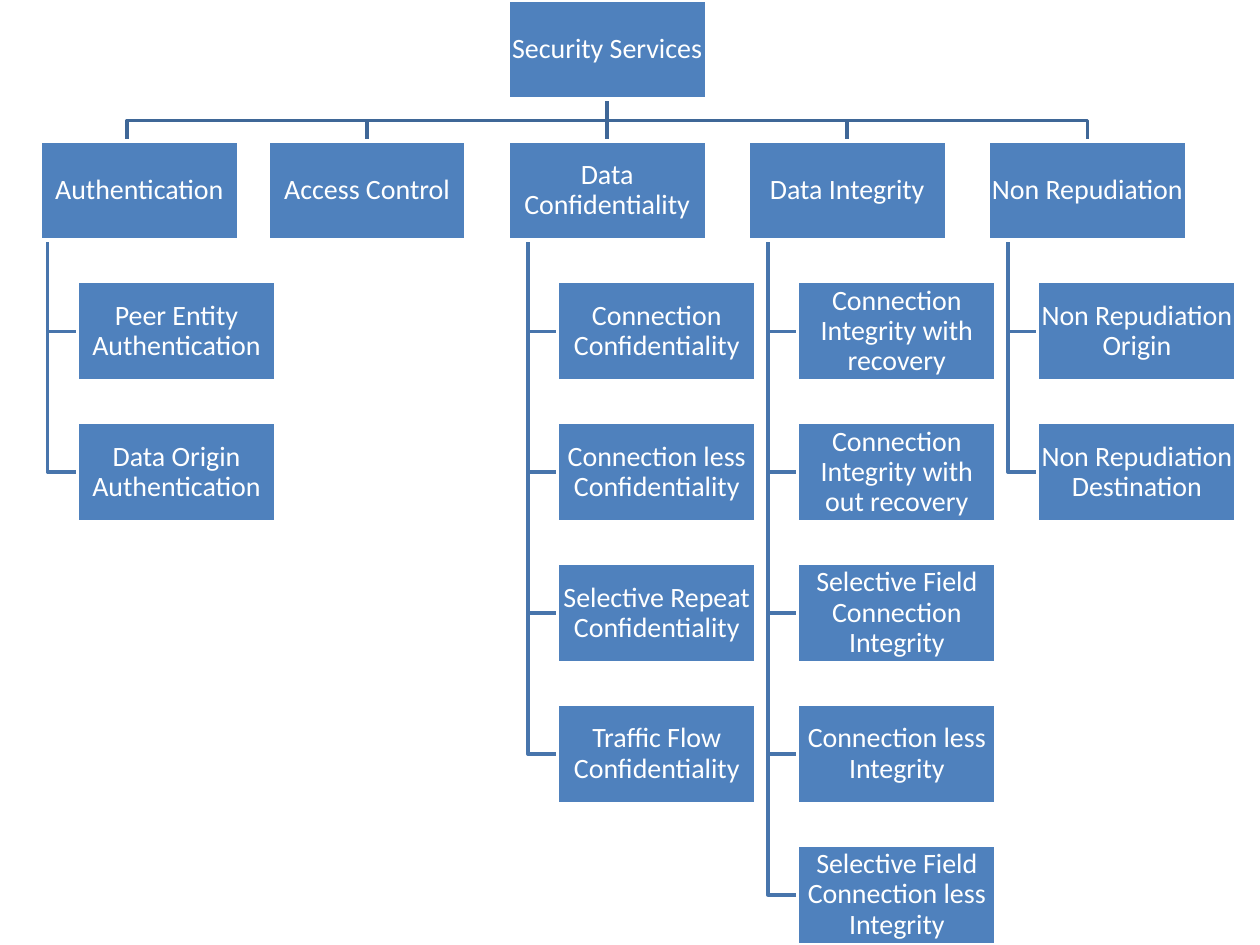
from dataclasses import dataclass

from lxml.etree import SubElement
from pptx import Presentation
from pptx.dml.color import RGBColor
from pptx.enum.shapes import MSO_CONNECTOR as CONN, MSO_SHAPE as SHAPE
from pptx.enum.text import MSO_ANCHOR as ANCHOR, PP_ALIGN as ALIGN
from pptx.oxml.ns import qn
from pptx.util import Cm, Pt


@dataclass(frozen=True)
class Theme:
    box: RGBColor = RGBColor(0x4F, 0x81, 0xBD)
    text: RGBColor = RGBColor(0xFF, 0xFF, 0xFF)
    border: RGBColor = RGBColor(0xFF, 0xFF, 0xFF)
    main_line: RGBColor = RGBColor(0x3F, 0x67, 0x97)
    sub_line: RGBColor = RGBColor(0x48, 0x75, 0xAC)
    font: str = "Calibri"
    size: float = 16
    line: float = 2


@dataclass(frozen=True)
class Branch:
    name: str
    children: tuple[str, ...] = ()
    shift: float = 0


THEME = Theme()
BOX_W, BOX_H = 4.0, 2.0
COL_STEP, ROW_STEP = 4.84, 2.84
LEFT = 0.56
TRUNK, INDENT = 0.4, 1.0
BUS_Y = 2.43
ROOT = "Security Services"
ROOT_COL = 2

BRANCHES = [
    Branch("Authentication",
           ("Peer Entity Authentication", "Data Origin Authentication"), shift=0.25),
    Branch("Access Control"),
    Branch("Data Confidentiality",
           ("Connection Confidentiality", "Connection less Confidentiality",
            "Selective Repeat Confidentiality", "Traffic Flow Confidentiality")),
    Branch("Data Integrity",
           ("Connection Integrity with recovery",
            "Connection Integrity with out recovery",
            "Selective Field Connection Integrity", "Connection less Integrity",
            "Selective Field Connection less Integrity")),
    Branch("Non Repudiation",
           ("Non Repudiation Origin", "Non Repudiation Destination")),
]


def col_x(col: int) -> float:
    return LEFT + col * COL_STEP


def row_y(row: int) -> float:
    return row * ROW_STEP


def write(tf, text: str, *, size: float = THEME.size, color: RGBColor = THEME.text,
          align=ALIGN.CENTER, spacing: float = 0.9) -> None:
    tf.word_wrap = True
    tf.vertical_anchor = ANCHOR.MIDDLE
    tf.margin_left = tf.margin_right = tf.margin_top = tf.margin_bottom = Cm(0.03)
    p = tf.paragraphs[0]
    p.alignment = align
    p.line_spacing = spacing
    r = p.add_run()
    r.text = text
    r.font.name = THEME.font
    r.font.size = Pt(size)
    r.font.color.rgb = color


def add_box(s, text: str, x: float, y: float):
    sp = s.shapes.add_shape(SHAPE.RECTANGLE, Cm(x), Cm(y), Cm(BOX_W), Cm(BOX_H))
    sp.shadow.inherit = False
    sp.fill.solid()
    sp.fill.fore_color.rgb = THEME.box
    sp.line.color.rgb = THEME.border
    sp.line.width = Pt(THEME.line)
    write(sp.text_frame, text)
    return sp


def add_path(s, points: list[tuple[float, float]], color: RGBColor) -> None:
    start, *rest = [(Cm(x), Cm(y)) for x, y in points]
    fb = s.shapes.build_freeform(*start)
    fb.add_line_segments(rest, close=False)
    sp = fb.convert_to_shape()
    sp.shadow.inherit = False
    sp.fill.background()
    sp.line.color.rgb = color
    sp.line.width = Pt(THEME.line)


def add_stem(s, x: float, top: float, bottom: float):
    cxn = s.shapes.add_connector(CONN.STRAIGHT, Cm(x), Cm(top), Cm(x), Cm(bottom))
    cxn.line.color.rgb = THEME.main_line
    cxn.line.width = Pt(THEME.line)
    SubElement(cxn._element.spPr, qn("a:effectLst"))
    return cxn


def add_lines(s):
    root_x = col_x(ROOT_COL) + BOX_W / 2
    for col, branch in enumerate(BRANCHES):
        x = col_x(col)
        drop = x + BOX_W / 2
        if col != ROOT_COL:
            add_path(s, [(root_x, BOX_H), (root_x, BUS_Y), (drop, BUS_Y),
                         (drop, row_y(1))], THEME.main_line)
        for row in range(2, 2 + len(branch.children)):
            mid = row_y(row) + BOX_H / 2
            add_path(s, [(x + TRUNK, row_y(1) + BOX_H), (x + TRUNK, mid),
                         (x + INDENT, mid)], THEME.sub_line)
    return add_stem(s, root_x, BOX_H, row_y(1))


def add_boxes(s, stem) -> None:
    root = add_box(s, ROOT, col_x(ROOT_COL), row_y(0))
    stem.begin_connect(root, 2)
    for col, branch in enumerate(BRANCHES):
        head = add_box(s, branch.name, col_x(col) + branch.shift, row_y(1))
        if col == ROOT_COL:
            stem.end_connect(head, 0)
        for row, child in enumerate(branch.children, start=2):
            add_box(s, child, col_x(col) + INDENT, row_y(row))


def main() -> None:
    prs = Presentation()
    prs.slide_width, prs.slide_height = Cm(25.4), Cm(19.05)
    s = prs.slides.add_slide(prs.slide_layouts[6])
    stem = add_lines(s)
    add_boxes(s, stem)
    prs.save("out.pptx")


if __name__ == "__main__":
    main()
